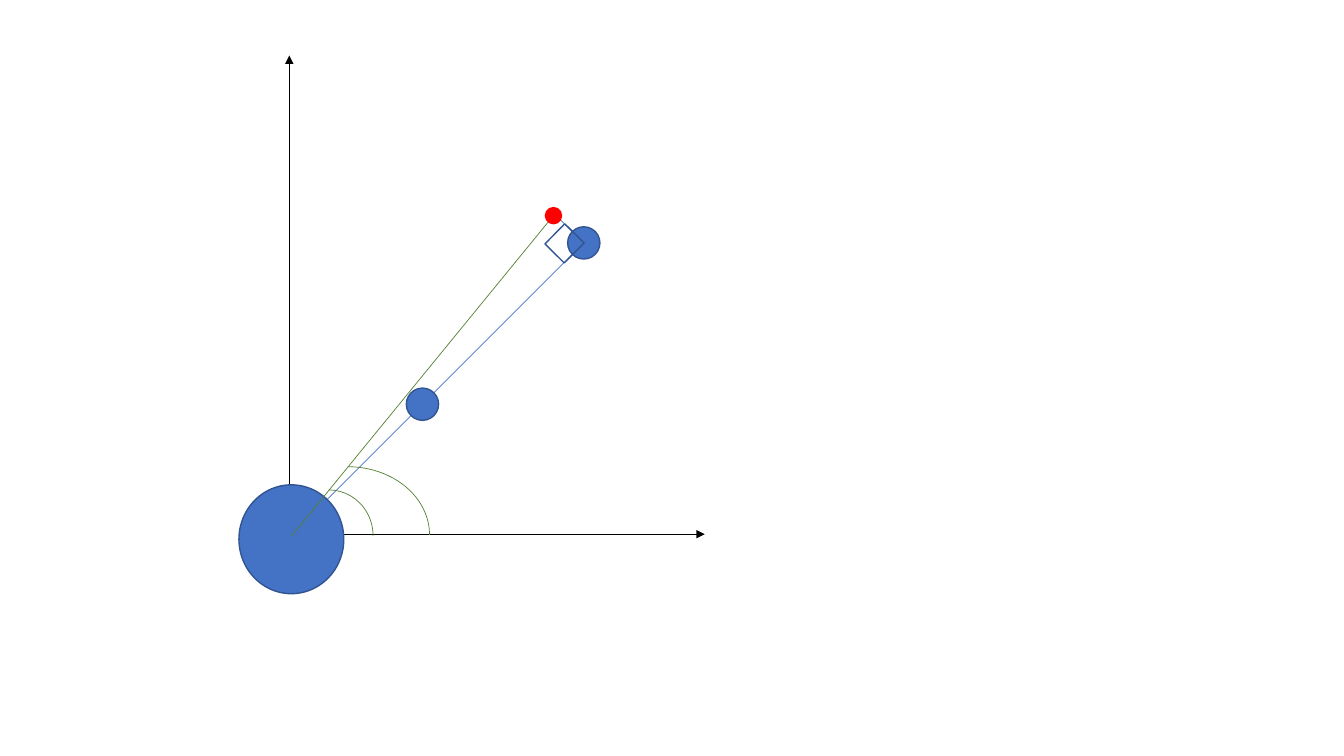
from pptx import Presentation
from pptx import util as u
from pptx.dml.color import RGBColor
from pptx.enum import shapes
from pptx.oxml.ns import qn
from lxml import etree

COLORS = {"blue": "4472C4", "edge": "325491", "green": "548235",
          "red": "FF0000", "black": "000000"}
KINDS = shapes.MSO_SHAPE

# Lines: start, end, colour, arrowhead
RAYS = [
    ((2.9, 5.3), (5.79, 2.41), "blue", False),
    ((5.8, 2.43), (5.49, 2.11), "blue", False),
]
AXES = [
    ((2.88, 5.3), (6.99, 5.3), "black", True),
    ((2.87, 5.3), (2.87, 0.55), "black", True),
]
SIGHT = ((5.48, 2.15), (2.89, 5.32), "green", False)

# Shapes: kind, centre, size, fill, outline, width, rotation
HUB = (KINDS.OVAL, (2.89, 5.35), (1.04, 1.08), "blue", "edge", 1, 0)
MARKS = [
    (KINDS.OVAL, (5.79, 2.41), (0.32, 0.32), "blue", "edge", 1, 0),
    (KINDS.OVAL, (4.19, 4.01), (0.32, 0.32), "blue", "edge", 1, 0),
    (KINDS.ARC, (3.26, 5.315), (0.88, 0.91), None, "green", 0.5, 0),
    (KINDS.ARC, (3.45, 5.305), (1.62, 1.35), None, "green", 0.5, 0),
    (KINDS.OVAL, (5.49, 2.14), (0.16, 0.16), "red", "red", 1, 0),
    (KINDS.RECTANGLE, (5.6, 2.415), (0.28, 0.27), None, "edge", 1, 314.8),
]


def tint(name):
    return RGBColor.from_string(COLORS[name])


def draw_line(slide, start, end, color, arrow):
    ends = [u.Inches(v) for v in start + end]
    line = slide.shapes.add_connector(shapes.MSO_CONNECTOR.STRAIGHT, *ends)
    line.line.color.rgb = tint(color)
    line.line.width = u.Pt(0.5)
    if arrow:
        ln = line.line._get_or_add_ln()
        etree.SubElement(ln, qn("a:tailEnd"), type="triangle")
    etree.SubElement(line._element.spPr, qn("a:effectLst"))


def draw_shape(slide, kind, mid, size, fill, edge, width, turn):
    (x, y), (w, h) = mid, size
    box = [u.Inches(v) for v in (x - w / 2, y - h / 2, w, h)]
    shape = slide.shapes.add_shape(kind, *box)
    shape.shadow.inherit = False
    shape.rotation = turn
    if fill:
        shape.fill.solid()
        shape.fill.fore_color.rgb = tint(fill)
    else:
        shape.fill.background()
    shape.line.color.rgb = tint(edge)
    shape.line.width = u.Pt(width)


def main():
    deck = Presentation()
    deck.slide_width, deck.slide_height = u.Inches(13.33), u.Inches(7.5)
    slide = deck.slides.add_slide(deck.slide_layouts[6])

    # Rays and axes lie behind the hub, the line of sight in front
    for line in RAYS + AXES:
        draw_line(slide, *line)
    draw_shape(slide, *HUB)
    draw_line(slide, *SIGHT)

    # Bodies, angle arcs, target and right-angle mark
    for mark in MARKS:
        draw_shape(slide, *mark)

    deck.save("out.pptx")


if __name__ == "__main__":
    main()
